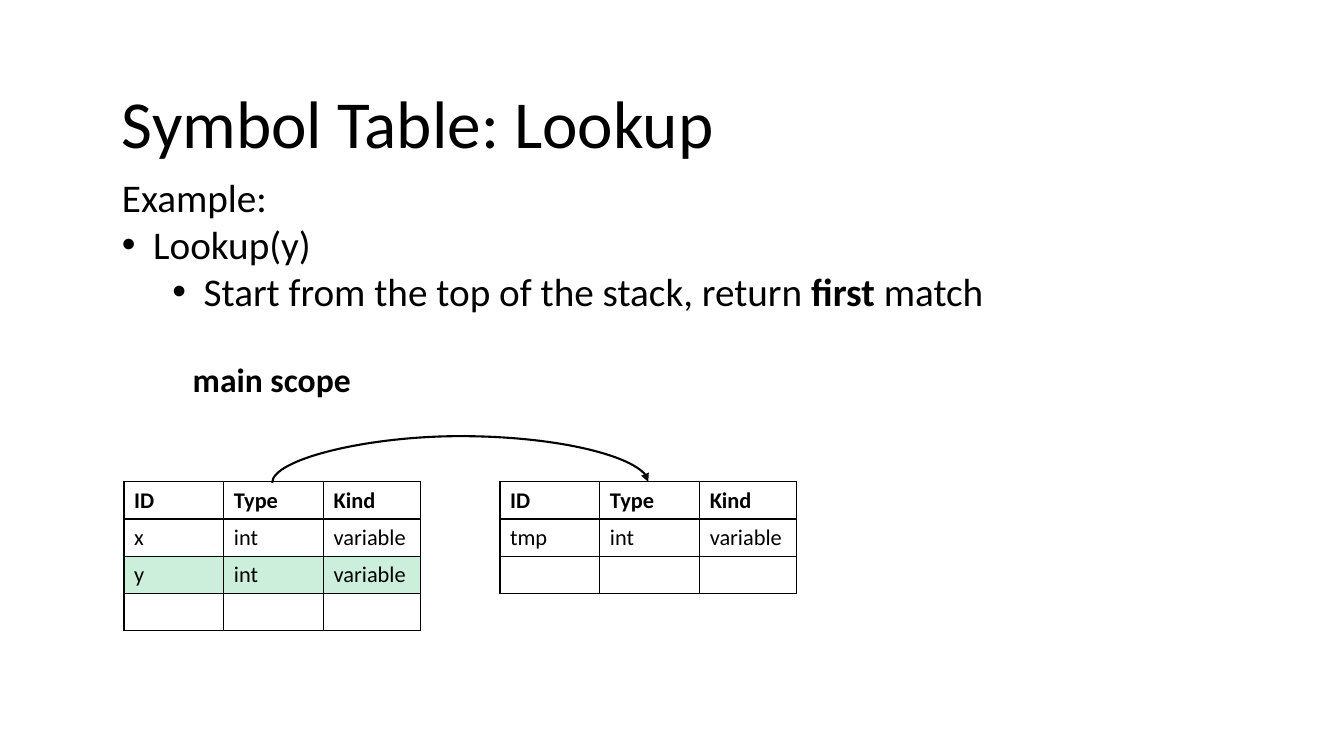
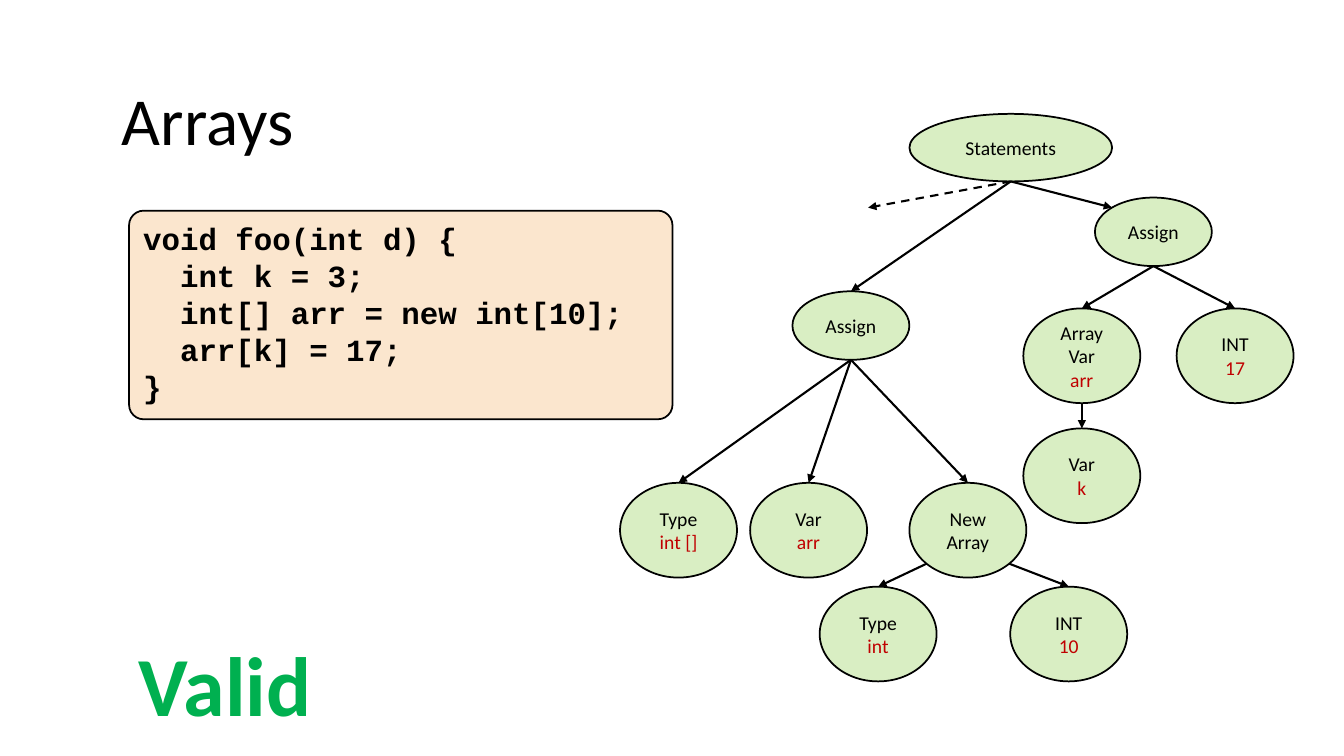
import math
from dataclasses import dataclass
from typing import Any, NamedTuple, Optional

import pptx
import pptx.dml.color
import pptx.enum.dml
import pptx.enum.shapes
import pptx.enum.text
import pptx.oxml.ns
import pptx.shapes.connector
import pptx.slide
import pptx.text.text
import pptx.util
from lxml import etree

Inches = pptx.util.Inches
Pt = pptx.util.Pt
qn = pptx.oxml.ns.qn
Slide = pptx.slide.Slide
Frame = pptx.text.text.TextFrame
Align = pptx.enum.text.PP_ALIGN
Anchor = pptx.enum.text.MSO_ANCHOR
Form = pptx.enum.shapes.MSO_SHAPE
Link = pptx.enum.shapes.MSO_CONNECTOR


@dataclass(frozen=True)
class Theme:
    font: str = "Calibri"
    mono: str = "Courier New"
    ink: str = "000000"
    paper: str = "FFFFFF"
    green: str = "00B050"
    leaf: str = "92D050"
    red: str = "C00000"
    sand: str = "FBE6CE"
    head: int = 48
    body: int = 28
    label: int = 24
    code: int = 22
    cell: int = 16
    node: int = 14
    verdict: int = 60
    edge: float = 1.25
    arrow: float = 1.5
    grid: float = 1


THEME = Theme()


class Bit(NamedTuple):
    text: str
    color: str = THEME.ink
    bold: bool = False


class Box(NamedTuple):
    x: float
    y: float
    w: float
    h: float

    def place(self) -> tuple:
        return tuple(Inches(v) for v in self)


@dataclass(frozen=True)
class Node:
    box: Box
    words: tuple
    value: str = ""

    def site(self, step: int) -> tuple[float, float]:
        """Point on the ellipse, in eighths of a turn from the top, leftwards."""
        turn = step * math.pi / 4
        x, y, w, h = self.box
        return (x + w / 2 * (1 - math.sin(turn)),
                y + h / 2 * (1 - math.cos(turn)))


class Edge(NamedTuple):
    start: str
    end: str
    out: int = 4
    into: int = 0


class Item(NamedTuple):
    bits: list
    level: Optional[int] = None


def rgb(code: str) -> pptx.dml.color.RGBColor:
    return pptx.dml.color.RGBColor.from_string(code)


def paint(fill: Any, color: str) -> None:
    fill.solid()
    fill.fore_color.rgb = rgb(color)


def fade(props: Any, share: int) -> None:
    """Set the opacity, in percent, of the fill held by props."""
    tone = props.find(qn("a:solidFill")).find(qn("a:srgbClr"))
    etree.SubElement(tone, qn("a:alpha"), val=str(share * 1000))


def write(frame: Frame, lines: list, size: int, font: str = THEME.font,
          align: Align = Align.LEFT) -> None:
    frame.word_wrap = True
    for i, bits in enumerate(lines):
        para = frame.paragraphs[0] if i == 0 else frame.add_paragraph()
        para.alignment = align
        para.space_before = Pt(0)
        for bit in bits:
            run = para.add_run()
            run.text = bit.text
            run.font.name = font
            run.font.size = Pt(size)
            run.font.bold = bit.bold
            run.font.color.rgb = rgb(bit.color)


def fit(holder: Any, box: Box) -> Frame:
    """Move a placeholder and let its text start at the top."""
    holder.left, holder.top, holder.width, holder.height = box.place()
    frame = holder.text_frame
    frame.auto_size = pptx.enum.text.MSO_AUTO_SIZE.NONE
    frame.vertical_anchor = Anchor.TOP
    return frame


def start(deck: Any, layout: int, title: str, top: float) -> Slide:
    slide = deck.slides.add_slide(deck.slide_layouts[layout])
    frame = fit(slide.shapes.title, Box(1.11, top, 11.09, 0.91))
    write(frame, [[Bit(title)]], THEME.head)
    return slide


def fill_list(slide: Slide, box: Box, items: list) -> None:
    frame = fit(slide.placeholders[1], box)
    write(frame, [item.bits for item in items], THEME.body)
    for para, item in zip(frame.paragraphs, items):
        props = para._p.get_or_add_pPr()
        if item.level is None:
            props.set("marL", "0")
            props.set("indent", "0")
            etree.SubElement(props, qn("a:buNone"))
            continue
        para.level = item.level
        props.set("marL", str(Inches(0.31 + 0.5 * item.level)))
        props.set("indent", str(Inches(-0.31)))
        etree.SubElement(props, qn("a:buFont"), typeface="Arial")
        etree.SubElement(props, qn("a:buChar"), char="•")


def add_note(slide: Slide, box: Box, bit: Bit, size: int,
             align: Align = Align.LEFT) -> None:
    shape = slide.shapes.add_textbox(*box.place())
    write(shape.text_frame, [[bit]], size, align=align)


def frame_cell(props: Any) -> None:
    for i, side in enumerate("LRTB"):
        line = etree.Element(qn(f"a:ln{side}"), w=str(Pt(THEME.grid)))
        solid = etree.SubElement(line, qn("a:solidFill"))
        etree.SubElement(solid, qn("a:srgbClr"), val=THEME.ink)
        props.insert(i, line)


def add_scope(slide: Slide, x: float, rows: list, hit: int = -1) -> None:
    """Draw a symbol table with row number hit marked."""
    rows = [("ID", "Type", "Kind"), *rows, ("", "", "")]
    box = Box(x, 4.78, 2.94, 0.37 * len(rows))
    table = slide.shapes.add_table(len(rows), 3, *box.place()).table
    table.first_row = table.horz_banding = False
    for col, width in zip(table.columns, (0.99, 0.99, 0.96)):
        col.width = Inches(width)
    for r, row in enumerate(rows):
        for c, text in enumerate(row):
            cell = table.cell(r, c)
            paint(cell.fill, THEME.green if r == hit else THEME.paper)
            props = cell._tc.get_or_add_tcPr()
            if r == hit:
                fade(props, 20)
            frame_cell(props)
            if text:
                bit = Bit(text, bold=r == 0)
                write(cell.text_frame, [[bit]], THEME.cell)
            else:
                etree.SubElement(cell.text_frame.paragraphs[0]._p,
                                 qn("a:endParaRPr"), sz=str(THEME.cell * 100))


def add_arrow(slide: Slide, tail: tuple, head: tuple,
              kind: Link = Link.STRAIGHT,
              dash: bool = False) -> pptx.shapes.connector.Connector:
    ends = [Inches(v) for v in (*tail, *head)]
    arrow = slide.shapes.add_connector(kind, *ends)
    arrow.line.width = Pt(THEME.arrow)
    paint(arrow.line.fill, THEME.ink)
    if dash:
        arrow.line.dash_style = pptx.enum.dml.MSO_LINE.DASH
    props = arrow._element.spPr
    etree.SubElement(props.find(qn("a:ln")), qn("a:tailEnd"), type="triangle")
    etree.SubElement(props, qn("a:effectLst"))
    return arrow


def add_arc(slide: Slide) -> None:
    """Arch from the first table to the second, as a quarter-turned curve."""
    wide, rise = 0.01, 0.47
    arc = add_arrow(slide, (4.57, 6.65), (4.56, 2.92), Link.CURVE)
    props = arc._element.spPr
    props.find(qn("a:xfrm")).set("rot", str(90 * 60000))
    geom = props.find(qn("a:prstGeom"))
    guides = geom.find(qn("a:avLst"))
    if guides is None:
        guides = etree.SubElement(geom, qn("a:avLst"))
    etree.SubElement(guides, qn("a:gd"), name="adj1",
                     fmla=f"val {round(rise / wide * 100000)}")


def add_shape(slide: Slide, form: Form, box: Box, color: str) -> Any:
    shape = slide.shapes.add_shape(form, *box.place())
    shape.shadow.inherit = False
    paint(shape.fill, color)
    paint(shape.line.fill, THEME.ink)
    shape.line.width = Pt(THEME.edge)
    return shape


def add_node(slide: Slide, node: Node) -> None:
    shape = add_shape(slide, Form.OVAL, node.box, THEME.leaf)
    fade(shape._element.spPr, 34)
    lines = [[Bit(word)] for word in node.words]
    if node.value:
        lines.append([Bit(node.value, THEME.red)])
    shape.text_frame.vertical_anchor = Anchor.MIDDLE
    write(shape.text_frame, lines, THEME.node, align=Align.CENTER)


def add_code(slide: Slide, box: Box, code: str) -> None:
    shape = add_shape(slide, Form.ROUNDED_RECTANGLE, box, THEME.sand)
    shape.adjustments[0] = 0.07
    shape.text_frame.vertical_anchor = Anchor.TOP
    lines = [[Bit(line, bold=True)] for line in code.splitlines()]
    write(shape.text_frame, lines, THEME.code, THEME.mono)


def leaf(x: float, y: float, words: str, value: str = "",
         high: float = 0.94) -> Node:
    return Node(Box(x, y, 1.16, high), tuple(words.split()), value)


CODE = """void foo(int d) {
  int k = 3;
  int[] arr = new int[10];
  arr[k] = 17;
}"""

NODES = {
    "root": Node(Box(9.02, 1.13, 2.01, 0.67), ("Statements",)),
    "make": leaf(7.86, 2.89, "Assign", high=0.68),
    "store": leaf(10.86, 1.96, "Assign", high=0.68),
    "type": leaf(6.15, 4.79, "Type", "int []"),
    "name": leaf(7.44, 4.79, "Var", "arr"),
    "new": leaf(9.02, 4.79, "New Array"),
    "base": leaf(8.13, 5.82, "Type", "int"),
    "size": leaf(10.02, 5.82, "INT", "10"),
    "slot": leaf(10.15, 3.06, "Array Var", "arr"),
    "num": leaf(11.67, 3.06, "INT", "17"),
    "index": leaf(10.15, 4.25, "Var", "k"),
}

EDGES = [
    Edge("root", "make"), Edge("root", "store", into=1),
    Edge("make", "type"), Edge("make", "name"), Edge("make", "new"),
    Edge("new", "base", out=3), Edge("new", "size", out=5),
    Edge("store", "slot"), Edge("store", "num"), Edge("slot", "index"),
]


def draw_lookup(deck: Any) -> None:
    slide = start(deck, 1, "Symbol Table: Lookup", 0.76)
    fill_list(slide, Box(1.11, 1.67, 11.09, 1.51), [
        Item([Bit("Example:")]),
        Item([Bit("Lookup(y)")], 0),
        Item([Bit("Start from the top of the stack, return "),
              Bit("first", bold=True), Bit(" match")], 1),
    ])
    add_note(slide, Box(1.62, 3.51, 2.15, 0.5), Bit("main scope", bold=True),
             THEME.label, Align.CENTER)
    add_scope(slide, 1.23, [("x", "int", "variable"),
                            ("y", "int", "variable")], hit=2)
    add_scope(slide, 4.96, [("tmp", "int", "variable")])
    add_arc(slide)


def draw_arrays(deck: Any) -> None:
    slide = start(deck, 5, "Arrays", 0.73)
    for node in NODES.values():
        add_node(slide, node)
    for edge in EDGES:
        add_arrow(slide, NODES[edge.start].site(edge.out),
                  NODES[edge.end].site(edge.into))
    add_arrow(slide, NODES["root"].site(4), (8.61, 2.06), dash=True)
    add_code(slide, Box(1.28, 2.09, 5.39, 2.07), CODE)
    add_note(slide, Box(1.28, 6.23, 3.06, 1.11),
             Bit("Valid", THEME.green, True), THEME.verdict)


def main() -> None:
    deck = pptx.Presentation()
    deck.slide_width, deck.slide_height = Inches(13.33), Inches(7.5)
    draw_lookup(deck)
    draw_arrays(deck)
    deck.save("out.pptx")


if __name__ == "__main__":
    main()
